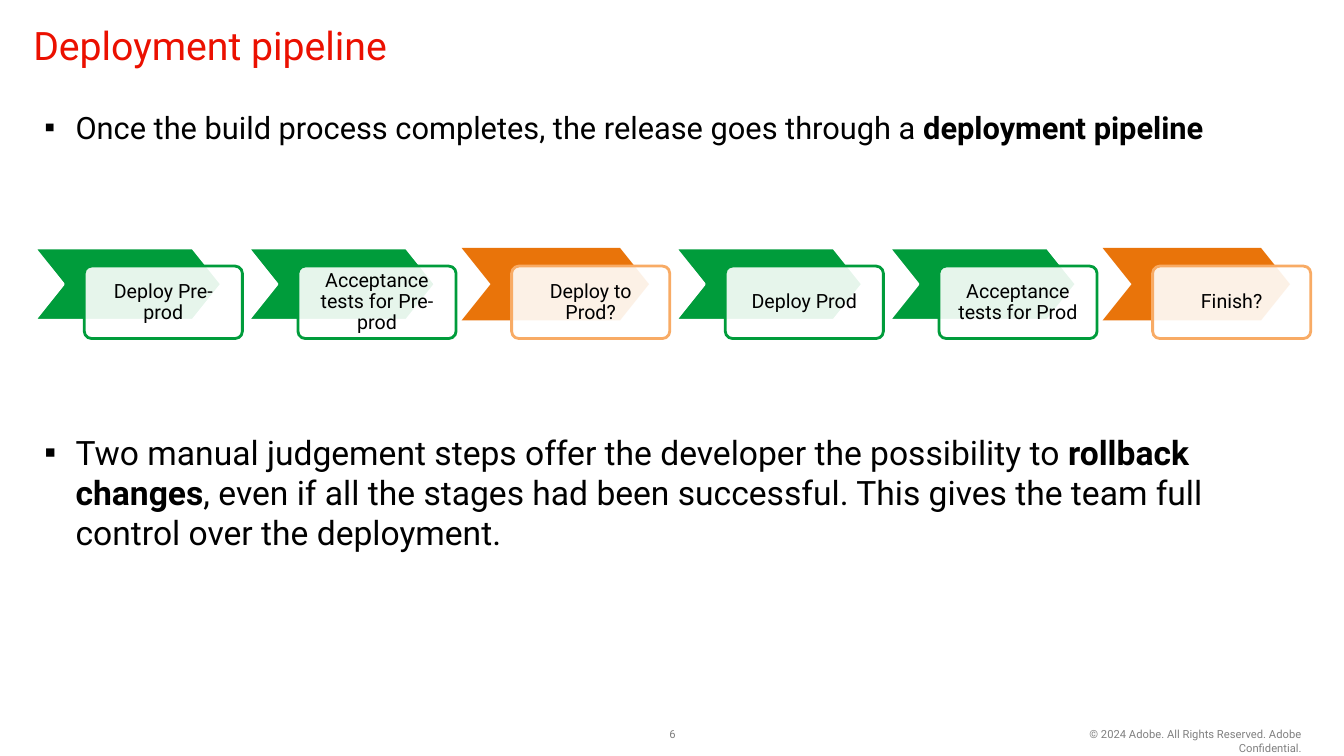
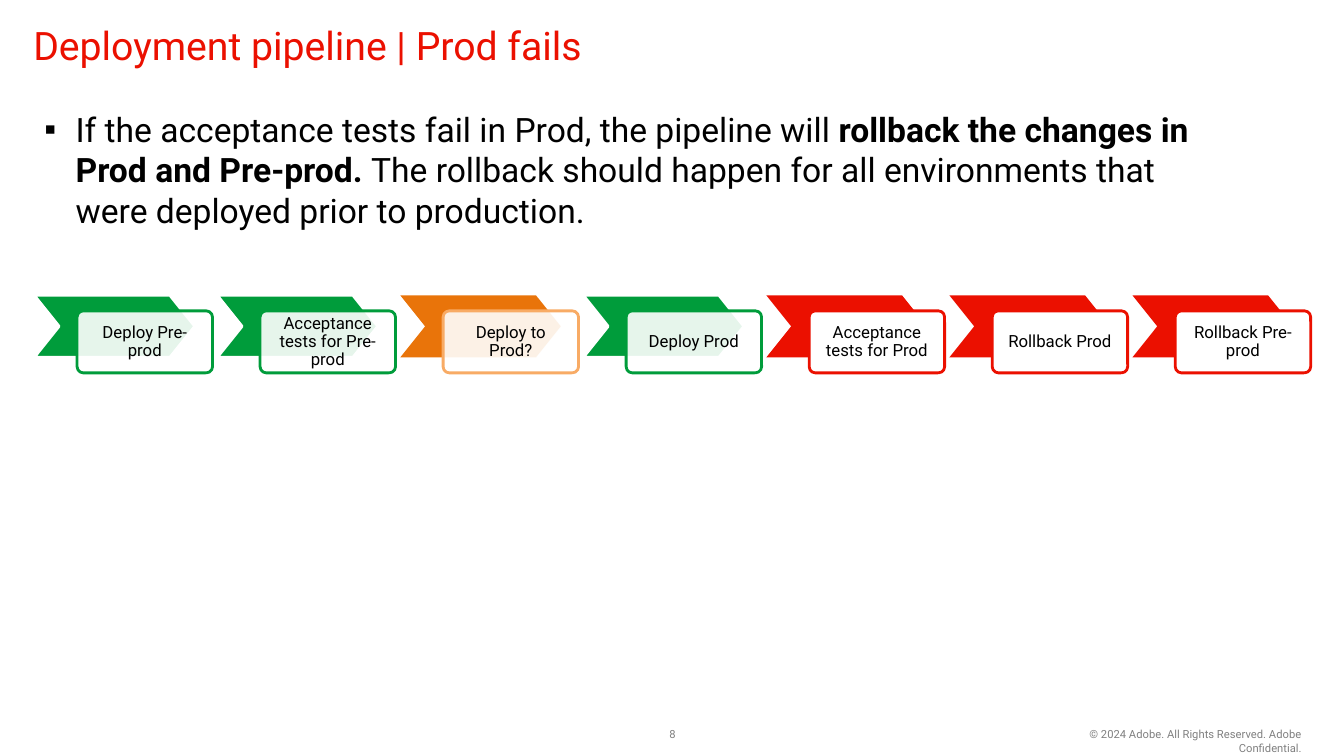
from dataclasses import dataclass

from lxml import etree
from pptx import Presentation
from pptx.dml.color import RGBColor
from pptx.enum.shapes import MSO_SHAPE
from pptx.enum.text import MSO_ANCHOR, MSO_AUTO_SIZE, PP_ALIGN
from pptx.oxml.ns import qn
from pptx.util import Inches, Pt

CHEVRON, ROUND = MSO_SHAPE.CHEVRON, MSO_SHAPE.ROUNDED_RECTANGLE
LEFT, CENTER, RIGHT = PP_ALIGN.LEFT, PP_ALIGN.CENTER, PP_ALIGN.RIGHT
TOP, MIDDLE = MSO_ANCHOR.TOP, MSO_ANCHOR.MIDDLE


@dataclass(frozen=True)
class Theme:
    font: str = "Roboto"
    black: str = "000000"
    white: str = "FFFFFF"
    gray: str = "808080"
    red: str = "EB1000"
    green: str = "009C3B"
    orange: str = "E9740A"
    peach: str = "F8AB65"
    title: int = 28
    lead: int = 22
    body: int = 24
    small: int = 8


T = Theme()
FOOTER = "© 2024 Adobe. All Rights Reserved. Adobe Confidential."

# state: arrow fill, arrow outline, card outline, card opacity in percent
STATES = {
    "pass": (T.green, T.white, T.green, 90),
    "ask": (T.orange, None, T.peach, 90),
    "fail": (T.red, None, T.red, 100),
}

SLIDES = [
    {
        "title": "Deployment pipeline",
        "number": "6",
        "high": 4.59,
        # size, space before, runs of (text, bold)
        "bullets": [
            (T.lead, 0, [
                ("Once the build process completes, the release goes through a ", False),
                ("deployment pipeline", True)]),
            (T.body, 204, [
                ("Two manual judgement steps offer the developer the possibility to ", False),
                ("rollback changes", True),
                (", even if all the stages had been successful. "
                 "This gives the team full control over the deployment.", False)]),
        ],
        "top": 2.46,
        "label": 14,
        "steps": [
            ("Deploy Pre-prod", "pass"),
            ("Acceptance tests for Pre-prod", "pass"),
            ("Deploy to Prod?", "ask"),
            ("Deploy Prod", "pass"),
            ("Acceptance tests for Prod", "pass"),
            ("Finish?", "ask"),
        ],
    },
    {
        "title": "Deployment pipeline | Prod fails",
        "number": "8",
        "high": 3.19,
        "bullets": [
            (T.body, 0, [
                ("If the acceptance tests fail in Prod, the pipeline will ", False),
                ("rollback the changes in Prod and Pre-prod. ", True),
                ("The rollback should happen for all environments that "
                 "were deployed prior to production.", False)]),
        ],
        "top": 2.93,
        "label": 12,
        "steps": [
            ("Deploy Pre-prod", "pass"),
            ("Acceptance tests for Pre-prod", "pass"),
            ("Deploy to Prod?", "ask"),
            ("Deploy Prod", "pass"),
            ("Acceptance tests for Prod", "fail"),
            ("Rollback Prod", "fail"),
            ("Rollback Pre-prod", "fail"),
        ],
    },
]


def rgb(code):
    return RGBColor.from_string(code)


def place(shape, x, y, w, h):
    shape.left, shape.top = Inches(x), Inches(y)
    shape.width, shape.height = Inches(w), Inches(h)


def setup(frame, inset=(0.1, 0.05), anchor=TOP):
    frame.word_wrap = True
    frame.auto_size = MSO_AUTO_SIZE.NONE
    frame.vertical_anchor = anchor
    frame.margin_left = frame.margin_right = Inches(inset[0])
    frame.margin_top = frame.margin_bottom = Inches(inset[1])


def write(frame, runs, size, color=T.black, align=LEFT, line=1.0, gap=0, bullet=None):
    """Add one paragraph; runs is a string or a list of (text, bold)."""
    para = frame.paragraphs[0]
    if para.runs:
        para = frame.add_paragraph()
    if bullet:
        props = para._p.get_or_add_pPr()
        props.set("marL", str(Inches(0.31)))
        props.set("indent", str(Inches(-0.31)))
        etree.SubElement(props, qn("a:buChar"), char=bullet)
    para.alignment, para.line_spacing, para.space_before = align, line, Pt(gap)
    for text, bold in [(runs, False)] if isinstance(runs, str) else runs:
        run = para.add_run()
        run.text = text
        font = run.font
        font.name, font.size, font.bold = T.font, Pt(size), bold
        font.color.rgb = rgb(color)


def label(slide, text, area, align, **box):
    shape = slide.shapes.add_textbox(*map(Inches, area))
    setup(shape.text_frame, **box)
    write(shape.text_frame, text, T.small, color=T.gray, align=align)
    return shape


def block(slide, kind, area, fill, line, adj, alpha=100):
    shape = slide.shapes.add_shape(kind, *map(Inches, area))
    shape.shadow.inherit = False
    shape.adjustments[0] = adj
    shape.fill.solid()
    shape.fill.fore_color.rgb = rgb(fill)
    if alpha < 100:
        tint = shape.element.spPr.find(".//" + qn("a:srgbClr"))
        etree.SubElement(tint, qn("a:alpha"), val=str(alpha * 1000))
    if line:
        shape.line.color.rgb = rgb(line)
        shape.line.width = Pt(2)
    else:
        shape.line.fill.background()
    return shape


def chain(slide, steps, top, size):
    """Spread the steps over the slide; every part scales with the pitch."""
    left, total = 0.34, 12.66
    shift, wide = 0.234, 0.74
    pitch = total / (len(steps) - 1 + shift + wide)
    high = 0.339 * pitch
    for i, (text, state) in enumerate(steps):
        fill, edge, rim, alpha = STATES[state]
        x = left + i * pitch
        block(slide, CHEVRON, (x, top, 0.877 * pitch, high), fill, edge, 0.4)
        area = (x + shift * pitch, top + high / 4, wide * pitch, high)
        card = block(slide, ROUND, area, T.white, rim, 0.1, alpha)
        setup(card.text_frame, inset=(0.05 * pitch, 0.05 * pitch), anchor=MIDDLE)
        write(card.text_frame, text, size, align=CENTER, line=0.9)


def build(deck, layout, data):
    slide = deck.slides.add_slide(layout)
    title, body = slide.shapes.title, slide.placeholders[1]
    place(title, 0.28, 0.22, 12.66, 0.45)
    setup(title.text_frame, inset=(0.05, 0.05), anchor=MIDDLE)
    write(title.text_frame, data["title"], T.title, color=T.red)
    place(body, 0.34, 1.03, 11.95, data["high"])
    setup(body.text_frame)
    for size, gap, runs in data["bullets"]:
        write(body.text_frame, runs, size, gap=gap, bullet="▪")
    label(slide, data["number"], (6.36, 7.19, 0.62, 0.18), CENTER,
          inset=(0.12, 0.06), anchor=MIDDLE)
    chain(slide, data["steps"], data["top"], data["label"])
    return slide


def main():
    deck = Presentation()
    deck.slide_width, deck.slide_height = Inches(13.33), Inches(7.5)
    layout = deck.slide_layouts[1]
    slides = [build(deck, layout, data) for data in SLIDES]
    # The footer belongs to the layout, so both slides share it.
    footer = label(slides[0], FOOTER, (10.17, 7.17, 2.84, 0.3), RIGHT)
    layout.shapes.element.append(footer.element)
    deck.save("out.pptx")


if __name__ == "__main__":
    main()
